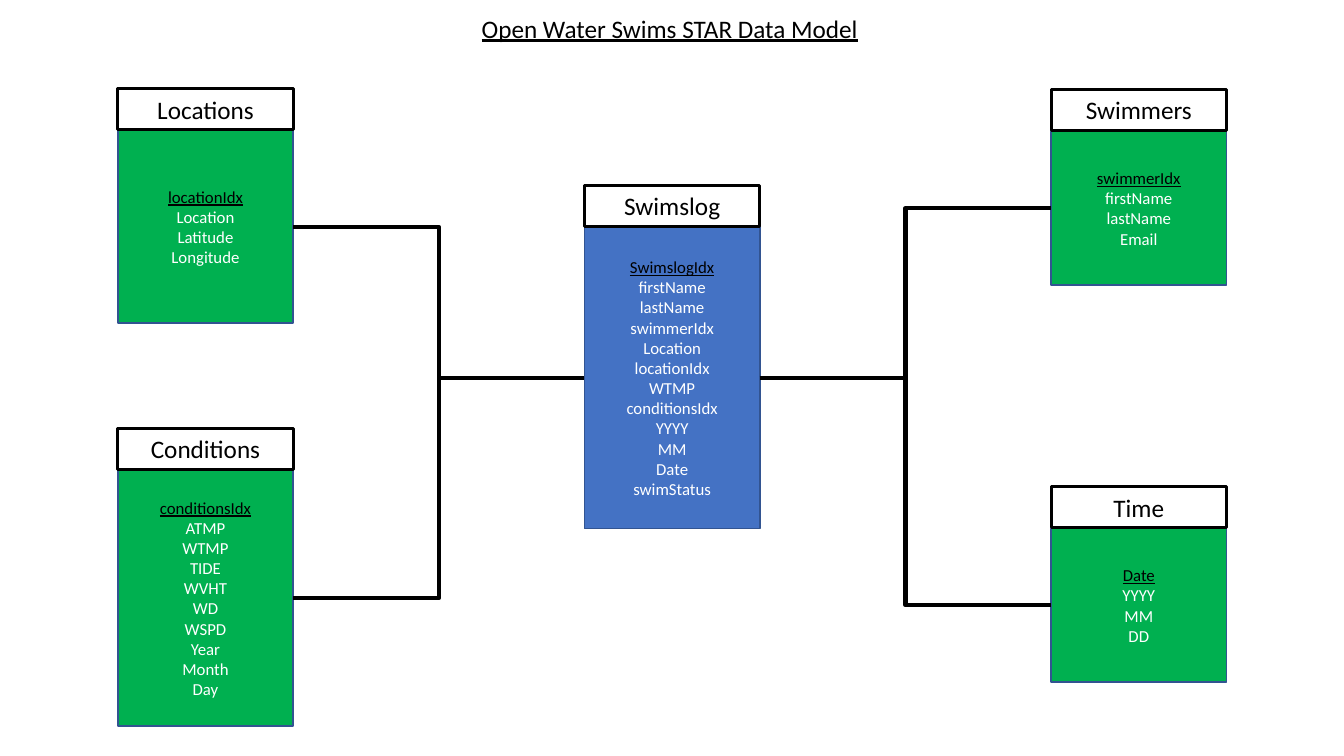
from dataclasses import dataclass

from lxml.etree import SubElement
from pptx import Presentation
from pptx.dml.color import RGBColor
from pptx.enum.shapes import MSO_CONNECTOR, MSO_SHAPE
from pptx.enum.text import MSO_ANCHOR, MSO_AUTO_SIZE, PP_ALIGN
from pptx.oxml.ns import qn
from pptx.util import Cm, Pt


@dataclass(frozen=True)
class Theme:
    font: str = "Calibri"
    heading: int = 18
    field: int = 12
    black: RGBColor = RGBColor(0x00, 0x00, 0x00)
    white: RGBColor = RGBColor(0xFF, 0xFF, 0xFF)
    dimension: RGBColor = RGBColor(0x00, 0xB0, 0x50)
    fact: RGBColor = RGBColor(0x44, 0x72, 0xC4)
    border: RGBColor = RGBColor(0x32, 0x54, 0x91)
    border_width: float = 1
    header_width: float = 2
    link_width: float = 3


THEME = Theme()
ENTITY_WIDTH = 4.42
HEADER_HEIGHT = 1.03
HEADER_STEP = 1.05
LEFT, CENTRE, RIGHT = (2.97 + 11.76 * i for i in range(3))
SITE_LEFT, SITE_RIGHT = 1, 3

DIMENSIONS = [
    ("Locations", LEFT, 2.24, 5.9,
     ["locationIdx", "Location", "Latitude", "Longitude"]),
    ("Conditions", LEFT, 10.8, 7.5,
     ["conditionsIdx", "ATMP", "WTMP", "TIDE", "WVHT", "WD", "WSPD",
      "Year", "Month", "Day"]),
    ("Swimmers", RIGHT, 2.26, 4.92,
     ["swimmerIdx", "firstName", "lastName", "Email"]),
    ("Time", RIGHT, 12.27, 4.92, ["Date", "YYYY", "MM", "DD"]),
]
FACT = ("Swimslog", CENTRE, 4.67, 8.65,
        ["SwimslogIdx", "firstName", "lastName", "swimmerIdx", "Location",
         "locationIdx", "WTMP", "conditionsIdx", "YYYY", "MM", "Date",
         "swimStatus"])


def add_text(p, text, size=THEME.field, color=THEME.black, underline=False,
             align=PP_ALIGN.CENTER):
    p.alignment = align
    r = p.add_run()
    r.text = text
    r.font.name = THEME.font
    r.font.size = Pt(size)
    r.font.color.rgb = color
    r.font.underline = underline


def add_title(s, text, left, top, width, height):
    tf = s.shapes.add_textbox(Cm(left), Cm(top), Cm(width), Cm(height)).text_frame
    tf.word_wrap = False
    tf.auto_size = MSO_AUTO_SIZE.SHAPE_TO_FIT_TEXT
    add_text(tf.paragraphs[0], text, size=THEME.heading, underline=True,
             align=PP_ALIGN.LEFT)


def add_box(shapes, left, top, height, line, line_width, fill=None):
    sp = shapes.add_shape(MSO_SHAPE.RECTANGLE, Cm(left), Cm(top),
                          Cm(ENTITY_WIDTH), Cm(height))
    sp.shadow.inherit = False
    if fill is None:
        sp.fill.background()
    else:
        sp.fill.solid()
        sp.fill.fore_color.rgb = fill
    sp.line.color.rgb = line
    sp.line.width = Pt(line_width)
    sp.text_frame.word_wrap = True
    return sp


def add_entity(s, name, left, top, height, fields, fill=THEME.dimension):
    group = s.shapes.add_group_shape()
    body = add_box(group.shapes, left, top + HEADER_STEP, height - HEADER_STEP,
                   THEME.border, THEME.border_width, fill)
    tf = body.text_frame
    tf.vertical_anchor = MSO_ANCHOR.MIDDLE
    key, *others = fields
    add_text(tf.paragraphs[0], key, underline=True)
    for field in others:
        add_text(tf.add_paragraph(), field, color=THEME.white)

    header = add_box(group.shapes, left, top, HEADER_HEIGHT,
                     THEME.black, THEME.header_width)
    tf = header.text_frame
    tf.vertical_anchor = MSO_ANCHOR.TOP
    tf.auto_size = MSO_AUTO_SIZE.SHAPE_TO_FIT_TEXT
    add_text(tf.paragraphs[0], name, size=THEME.heading)
    return body


def add_link(s, start, end):
    link = s.shapes.add_connector(MSO_CONNECTOR.ELBOW, 0, 0, 0, 0)
    link.begin_connect(start, SITE_RIGHT)
    link.end_connect(end, SITE_LEFT)
    link.line.color.rgb = THEME.black
    link.line.width = Pt(THEME.link_width)
    SubElement(link._element.spPr, qn("a:effectLst"))


def build_star_model(s):
    add_title(s, "Open Water Swims STAR Data Model", 11.89, 0.2, 10.08, 1.03)
    fact = add_entity(s, *FACT, fill=THEME.fact)
    for dimension in DIMENSIONS:
        body = add_entity(s, *dimension)
        if body.left < fact.left:
            add_link(s, body, fact)
        else:
            add_link(s, fact, body)


def main():
    prs = Presentation()
    prs.slide_width = Cm(33.87)
    prs.slide_height = Cm(19.05)
    build_star_model(prs.slides.add_slide(prs.slide_layouts[6]))
    prs.save("out.pptx")


if __name__ == "__main__":
    main()
